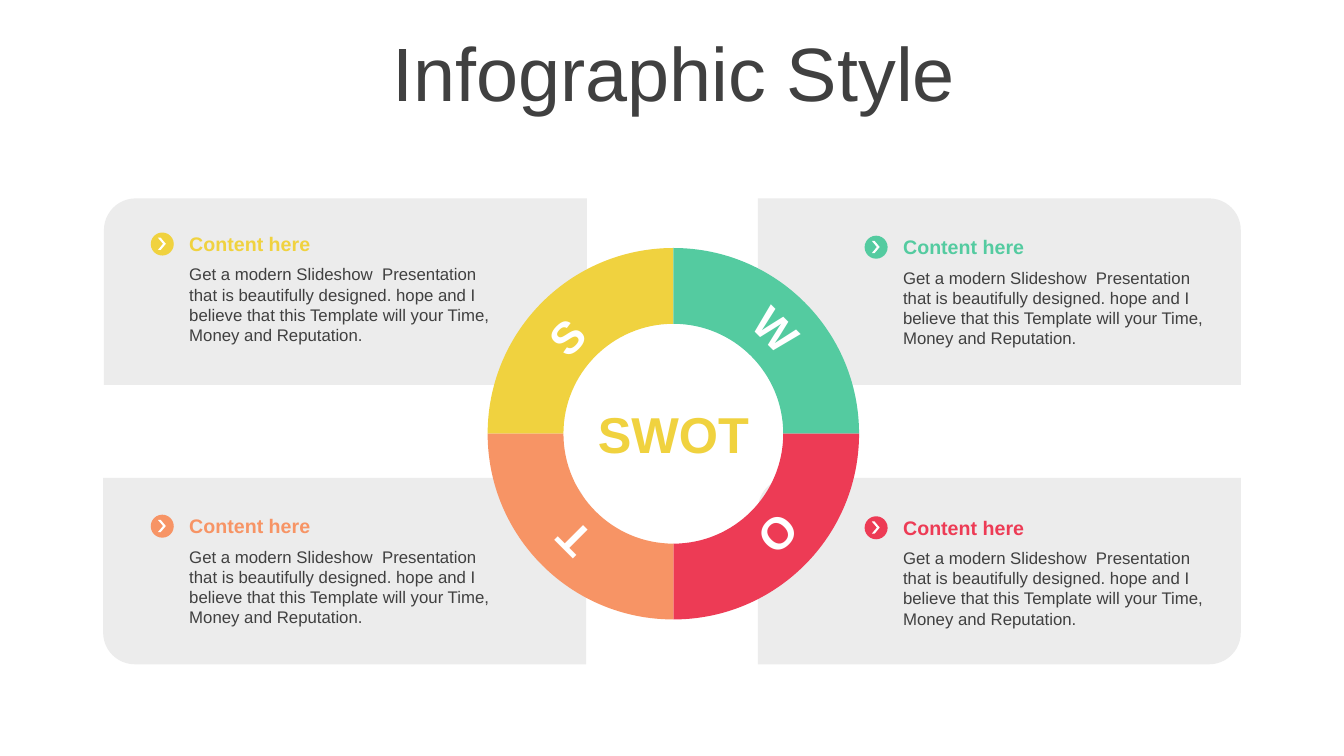
from collections import namedtuple
from math import cos, radians, sin, sqrt

from lxml import etree
from pptx import Presentation
from pptx.dml.color import RGBColor
from pptx.enum.shapes import MSO_SHAPE
from pptx.enum.text import MSO_ANCHOR, MSO_AUTO_SIZE, PP_ALIGN
from pptx.oxml.ns import qn
from pptx.util import Cm, Pt

CARD_SHAPE = MSO_SHAPE.ROUND_2_DIAG_RECTANGLE
OVAL = MSO_SHAPE.OVAL
CHEVRON = MSO_SHAPE.CHEVRON
TOP, MIDDLE = MSO_ANCHOR.TOP, MSO_ANCHOR.MIDDLE
LEFT, CENTER = PP_ALIGN.LEFT, PP_ALIGN.CENTER
NO_AUTOFIT = MSO_AUTO_SIZE.NONE
TITLE_ONLY = 5

YELLOW = RGBColor(0xF0, 0xD2, 0x3F)
GREEN = RGBColor(0x54, 0xCB, 0xA0)
RED = RGBColor(0xED, 0x3B, 0x55)
ORANGE = RGBColor(0xF7, 0x94, 0x65)
GRAY = RGBColor(0xEC, 0xEC, 0xEC)
DARK = RGBColor(0x40, 0x40, 0x40)
WHITE = RGBColor(0xFF, 0xFF, 0xFF)

TITLE_FORMAT = {"name": "Arial", "size": Pt(54), "bold": False}
HEADING_FORMAT = {"name": "Arial", "size": Pt(14), "bold": True}
BODY_FORMAT = {"name": "Arial", "size": Pt(12), "bold": False}
LETTER_FORMAT = {"name": "Arial", "size": Pt(32), "bold": True}
CENTER_FORMAT = {"name": "Arial", "size": Pt(36), "bold": True}

HEADING = "Content here"
BODY = ("Get a modern Slideshow  Presentation that is beautifully designed. "
        "hope and I believe that this Template will your Time, "
        "Money and Reputation.")

# Lengths in centimetres, angles in degrees clockwise from three o'clock.
WHEEL_X, WHEEL_Y = 16.97, 10.93
OUTER_RADIUS, INNER_RADIUS = 4.68, 2.77
CURVE_HANDLE = 4 / 3 * (sqrt(2) - 1)
CARD_WIDTH, CARD_HEIGHT = 12.17, 4.7
CORNER = 0.17
ICON_SIZE = 0.58

Quarter = namedtuple("Quarter", "letter color start card corners icon letter_at")
QUARTERS = [
    Quarter("S", YELLOW, 180, (2.62, 5.0), (CORNER, 0), (3.8, 5.86), (13.54, 7.65)),
    Quarter("W", GREEN, 270, (19.1, 5.0), (0, CORNER), (21.79, 5.94), (18.82, 7.44)),
    Quarter("O", RED, 0, (19.1, 12.04), (CORNER, 0), (21.79, 13.01), (18.92, 12.67)),
    Quarter("T", ORANGE, 90, (2.6, 12.04), (0, CORNER), (3.8, 12.97), (13.72, 12.8)),
]


def paint(shape, color):
    shape.shadow.inherit = False
    shape.fill.solid()
    shape.fill.fore_color.rgb = color
    shape.line.fill.background()


def add_filled_shape(slide, kind, box, color, adjustments=()):
    shape = slide.shapes.add_shape(kind, *map(Cm, box))
    for index, value in enumerate(adjustments):
        shape.adjustments[index] = value
    paint(shape, color)


def write_text(frame, text, font_format, color, anchor, alignment):
    frame.word_wrap = True
    frame.vertical_anchor = anchor
    paragraph = frame.paragraphs[0]
    paragraph.text = text
    paragraph.alignment = alignment
    for name, value in font_format.items():
        setattr(paragraph.font, name, value)
    paragraph.font.color.rgb = color


def add_text(slide, box, text, font_format, color, anchor=MIDDLE, alignment=LEFT):
    shape = slide.shapes.add_textbox(*map(Cm, box))
    write_text(shape.text_frame, text, font_format, color, anchor, alignment)
    return shape


def add_title(slide, text):
    title = slide.shapes.title
    title.left, title.top, title.width, title.height = map(Cm, (0.9, 0.94, 32.16, 2.01))
    write_text(title.text_frame, text, TITLE_FORMAT, DARK, MIDDLE, CENTER)
    title.text_frame.auto_size = NO_AUTOFIT
    title.text_frame.paragraphs[0].line_spacing = 0.9


def add_card(slide, quarter):
    box = (*quarter.card, CARD_WIDTH, CARD_HEIGHT)
    add_filled_shape(slide, CARD_SHAPE, box, GRAY, quarter.corners)


def quarter_arc(radius, start):
    """Return the four Bezier points of a quarter circle."""
    across, down = cos(radians(start)), sin(radians(start))
    weights = [(1, 0), (1, CURVE_HANDLE), (CURVE_HANDLE, 1), (0, 1)]
    return [(Cm(WHEEL_X + radius * (first * across - second * down)),
             Cm(WHEEL_Y + radius * (first * down + second * across)))
            for first, second in weights]


def bend(lines):
    """Turn three straight path segments into one cubic curve."""
    curve = etree.Element(qn("a:cubicBezTo"))
    lines[0].addprevious(curve)
    for line in lines:
        curve.append(line[0])
        line.getparent().remove(line)


def add_ring_quarter(slide, quarter):
    outer = quarter_arc(OUTER_RADIUS, quarter.start)
    inner = quarter_arc(INNER_RADIUS, quarter.start)[::-1]
    builder = slide.shapes.build_freeform(*outer[0])
    builder.add_line_segments(outer[1:] + inner, close=True)
    shape = builder.convert_to_shape()
    lines = list(shape.element.iter(qn("a:lnTo")))
    bend(lines[:3])
    bend(lines[4:7])
    paint(shape, quarter.color)


def add_ring_letter(slide, quarter):
    box = (*quarter.letter_at, 1.45, 1.63)
    shape = add_text(slide, box, quarter.letter, LETTER_FORMAT, WHITE, alignment=CENTER)
    shape.rotation = (quarter.start + 135) % 360


def add_content(slide, quarter):
    """Add the round arrow icon with its heading and body text."""
    left, top = quarter.icon
    add_filled_shape(slide, OVAL, (left, top, ICON_SIZE, ICON_SIZE), quarter.color)
    add_filled_shape(slide, CHEVRON, (left + 0.18, top + 0.13, 0.2, 0.31), WHITE, [0.65])
    text_left = left + 0.72
    add_text(slide, (text_left, top - 0.15, 8.26, 0.86), HEADING, HEADING_FORMAT, quarter.color)
    add_text(slide, (text_left, top + 0.67, 8.26, 2.31), BODY, BODY_FORMAT, DARK, TOP)


def main():
    presentation = Presentation()
    presentation.slide_width, presentation.slide_height = Cm(33.87), Cm(19.05)
    slide = presentation.slides.add_slide(presentation.slide_layouts[TITLE_ONLY])

    add_title(slide, "Infographic Style")
    for add_part in (add_card, add_ring_quarter, add_ring_letter, add_content):
        for quarter in QUARTERS:
            add_part(slide, quarter)
    add_text(slide, (14.28, 10.03, 5.38, 1.8), "SWOT", CENTER_FORMAT, YELLOW, alignment=CENTER)

    presentation.save("out.pptx")


if __name__ == "__main__":
    main()
